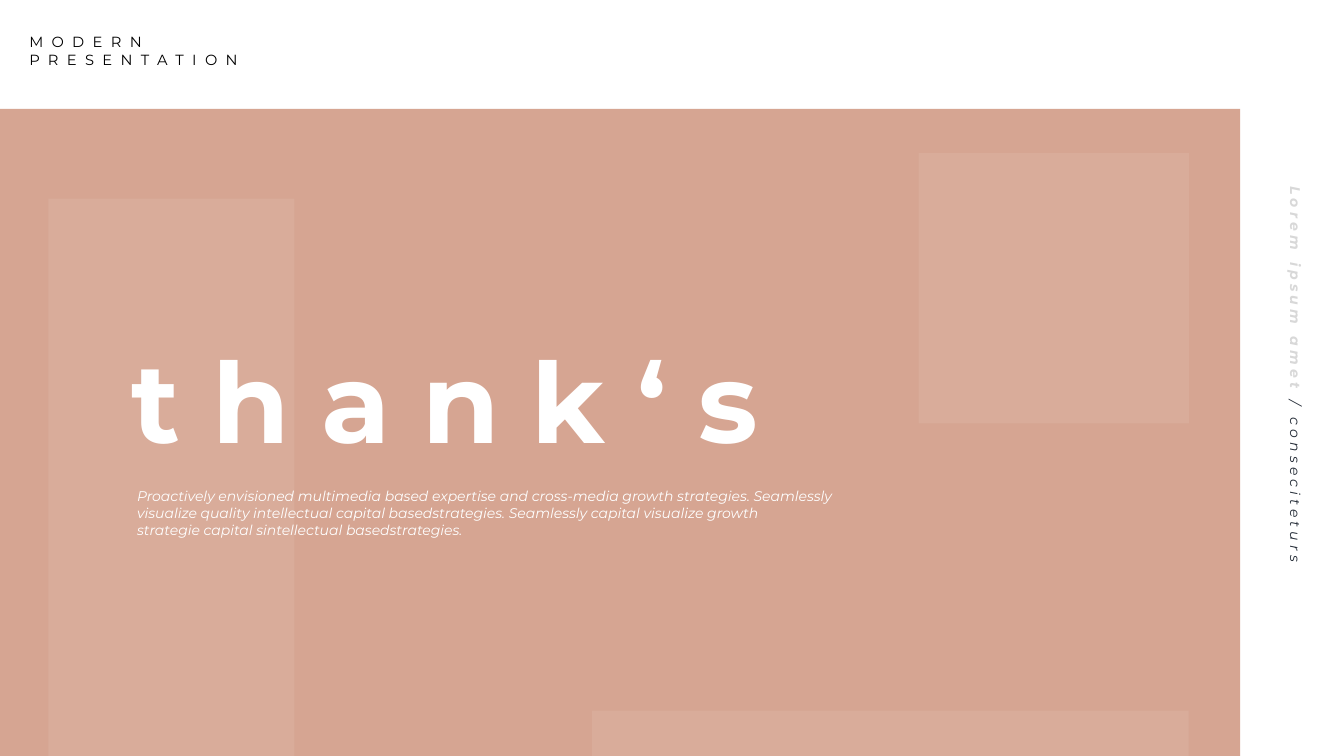
from pptx import Presentation
from pptx.dml.color import RGBColor
from pptx.enum.shapes import MSO_SHAPE
from pptx.enum.text import MSO_AUTO_SIZE, PP_ALIGN
from pptx.oxml.ns import qn
from pptx.util import Inches, Pt
from lxml import etree

WIDTH, HEIGHT = Inches(13.33), Inches(7.5)
FONT = "Montserrat"
CLAY, BLUSH, WHITE, BLACK = "D6A592", "E6C9BE", "FFFFFF", "000000"
PALE_GREY, SLATE = "D8D8D8", "222A35"


def color(hex_string):
    return RGBColor.from_string(hex_string)


def place(left, top, width, height):
    """Turn percentages of the slide into lengths."""
    return [round(share * side / 100) for share, side in
            ((left, WIDTH), (top, HEIGHT), (width, WIDTH), (height, HEIGHT))]


def add_block(shapes, area, fill, opacity=100):
    block = shapes.add_shape(MSO_SHAPE.RECTANGLE, *place(*area))
    block.shadow.inherit = False
    block.line.fill.background()
    block.fill.solid()
    block.fill.fore_color.rgb = color(fill)
    if opacity < 100:
        tint = block.fill._xPr.find(qn("a:solidFill"))[0]
        etree.SubElement(tint, qn("a:alpha")).set("val", str(opacity * 1000))


def style_run(run, size, fill, bold=False, italic=False, tracking=0):
    """Format a run; tracking is the letter spacing in points."""
    run.font.name = FONT
    run.font.size = Pt(size)
    run.font.bold = bold
    run.font.italic = italic
    run.font.color.rgb = color(fill)
    if tracking:
        run._r.get_or_add_rPr().set("spc", str(tracking * 100))


def add_text(shapes, area, lines, size, fill, inset=True, **style):
    box = shapes.add_textbox(*place(*area))
    frame = box.text_frame
    frame.word_wrap = True
    frame.auto_size = MSO_AUTO_SIZE.SHAPE_TO_FIT_TEXT
    if not inset:
        frame.margin_left = frame.margin_right = 0
        frame.margin_top = frame.margin_bottom = 0
    frame.text = "\n".join(lines)
    for paragraph in frame.paragraphs:
        for run in paragraph.runs:
            style_run(run, size, fill, **style)
    return box


def add_side_label(shapes):
    label = add_text(shapes, (69.62, 48.13, 53.71, 3.73), ["Lorem ipsum amet "],
                     10, PALE_GREY, bold=True, italic=True, tracking=3)
    label.rotation = 90
    paragraph = label.text_frame.paragraphs[0]
    paragraph.alignment = PP_ALIGN.CENTER
    paragraph.line_spacing = 1.1
    ending = paragraph.add_run()
    ending.text = "/ conseciteturs "
    style_run(ending, 10, SLATE, italic=True, tracking=3)


def add_closing(shapes):
    closing = shapes.add_group_shape().shapes
    add_text(closing, (9.08, 43.2, 56.94, 19.33), ["t h a n k ‘ s"],
             80, WHITE, bold=True)
    add_text(closing, (10.2, 64.53, 51.91, 6.67), [
        "Proactively envisioned multimedia based expertise and cross-media "
        "growth strategies. Seamlessly visualize quality intellectual capital "
        "basedstrategies. Seamlessly capital visualize growth",
        "strategie capital sintellectual basedstrategies.",
    ], 10, WHITE, inset=False, italic=True)


def main():
    deck = Presentation()
    deck.slide_width, deck.slide_height = WIDTH, HEIGHT
    shapes = deck.slides.add_slide(deck.slide_layouts[6]).shapes

    add_block(shapes, (0, 14.4, 92.27, 85.6), CLAY)
    add_block(shapes, (3.6, 26.27, 18.3, 73.73), BLUSH, opacity=20)
    add_text(shapes, (2.18, 4.4, 21.53, 4.67), ["MODERN", "PRESENTATION"],
             10.5, BLACK, inset=False, tracking=6)
    add_side_label(shapes)
    add_closing(shapes)
    for area in ((68.34, 20.27, 20.11, 35.73), (44.04, 94, 44.41, 6)):
        add_block(shapes, area, BLUSH, opacity=20)

    deck.save("out.pptx")


if __name__ == "__main__":
    main()
